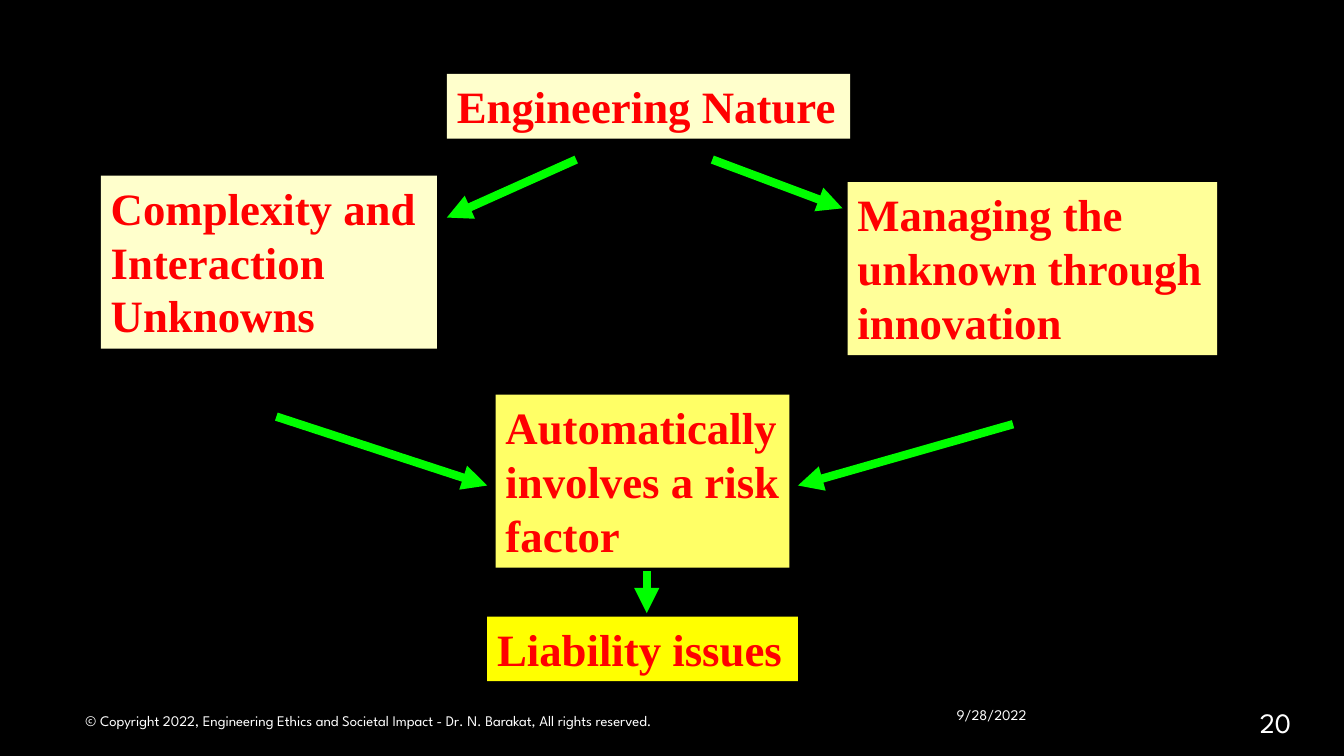
import pptx
import pptx.dml.color
import pptx.enum.shapes
import pptx.enum.text
import pptx.util
from lxml import etree

CELL = pptx.util.Inches(1) / 12
COLUMNS, ROWS = 160, 90
DIAGRAM_BOX = (12, 8.8, 133, 72.4)
FOOTER_BOX = (9, 83.4, 147.4, 4.8)
ANCHOR = pptx.enum.text.MSO_ANCHOR

NODE_FORMAT = {"name": "Times New Roman", "size": pptx.util.Pt(32), "bold": True}
FOOTER_FORMAT = {"name": "League Spartan", "size": pptx.util.Pt(10.5)}
NUMBER_FORMAT = {**FOOTER_FORMAT, "size": pptx.util.Pt(20)}

NODES = [
    ("Engineering Nature", (41.2, 0, 48, 7.7), "FFFFCC"),
    ("Complexity and Interaction Unknowns", (0, 12.1, 40, 20.6), "FFFFCC"),
    ("Managing the unknown through innovation", (88.9, 12.9, 44, 20.6), "FFFF99"),
    ("Automatically involves a risk factor", (47, 38.2, 35, 20.6), "FFFF66"),
    ("Liability issues", (46, 64.6, 37, 7.7), "FFFF00"),
]
ARROWS = [
    (56.6, 10.2, 41.2, 17.1),
    (72.8, 10.2, 88.3, 16),
    (20.9, 40.8, 46, 49),
    (108.6, 41.7, 83, 49),
    (65, 59.2, 65, 64.2),
]
FOOTER_PARTS = [
    ("© Copyright 2022, Engineering Ethics and Societal Impact - Dr. N. Barakat, All rights reserved.",
     0, 102, FOOTER_FORMAT, ANCHOR.MIDDLE),
    ("9/28/2022", 103.7, 13.3, FOOTER_FORMAT, ANCHOR.TOP),
    ("20", 139.8, 7.6, NUMBER_FORMAT, ANCHOR.TOP),
]


def cells(*counts):
    """Turn counts of grid cells into lengths."""
    return [round(count * CELL) for count in counts]


def paint(color_format, color):
    """Apply a hex colour to a fill, line or font colour."""
    color_format.rgb = pptx.dml.color.RGBColor.from_string(color)


def write(shape, text, font_format, color, anchor=ANCHOR.TOP):
    """Put one left-aligned, wrapping paragraph in a shape."""
    frame = shape.text_frame
    frame.word_wrap = True
    frame.vertical_anchor = anchor
    paragraph = frame.paragraphs[0]
    paragraph.alignment = pptx.enum.text.PP_ALIGN.LEFT
    run = paragraph.add_run()
    run.text = text
    for attribute, value in font_format.items():
        setattr(run.font, attribute, value)
    paint(run.font.color, color)


def add_node(slide, text, box, color):
    """Draw one filled box of the diagram."""
    shape = slide.shapes.add_shape(pptx.enum.shapes.MSO_SHAPE.RECTANGLE, *cells(*box))
    shape.shadow.inherit = False
    shape.fill.solid()
    paint(shape.fill.fore_color, color)
    shape.line.fill.background()
    write(shape, text, NODE_FORMAT, "FF0000")
    shape.text_frame.auto_size = pptx.enum.text.MSO_AUTO_SIZE.SHAPE_TO_FIT_TEXT


def add_arrow(slide, ends):
    """Draw one green arrow between two grid points."""
    arrow = slide.shapes.add_connector(pptx.enum.shapes.MSO_CONNECTOR.STRAIGHT, *cells(*ends))
    arrow.line.width = pptx.util.Pt(6)
    arrow.line.fill.solid()
    paint(arrow.line.fill.fore_color, "00FF00")
    namespace = pptx.oxml.ns.qn
    etree.SubElement(arrow.line._get_or_add_ln(), namespace("a:tailEnd"), type="triangle")
    etree.SubElement(arrow._element.spPr, namespace("a:effectLst"))


def add_diagram(slide, box):
    """Place the boxes and arrows of the flow within the given box."""
    left, top = box[:2]
    for text, (x, y, width, height), color in NODES:
        add_node(slide, text, (left + x, top + y, width, height), color)
    for start_x, start_y, end_x, end_y in ARROWS:
        add_arrow(slide, (left + start_x, top + start_y, left + end_x, top + end_y))


def add_footer(slide, box):
    """Place the copyright line, date and slide number along the given box."""
    left, top, _, height = box
    for text, x, width, font_format, anchor in FOOTER_PARTS:
        shape = slide.shapes.add_textbox(*cells(left + x, top, width, height))
        write(shape, text, font_format, "FFFFFF", anchor)


def main():
    """Build and save the slide."""
    presentation = pptx.Presentation()
    presentation.slide_width, presentation.slide_height = cells(COLUMNS, ROWS)
    slide = presentation.slides.add_slide(presentation.slide_layouts[6])
    slide.background.fill.solid()
    paint(slide.background.fill.fore_color, "000000")
    add_diagram(slide, DIAGRAM_BOX)
    add_footer(slide, FOOTER_BOX)
    presentation.save("out.pptx")


if __name__ == "__main__":
    main()
